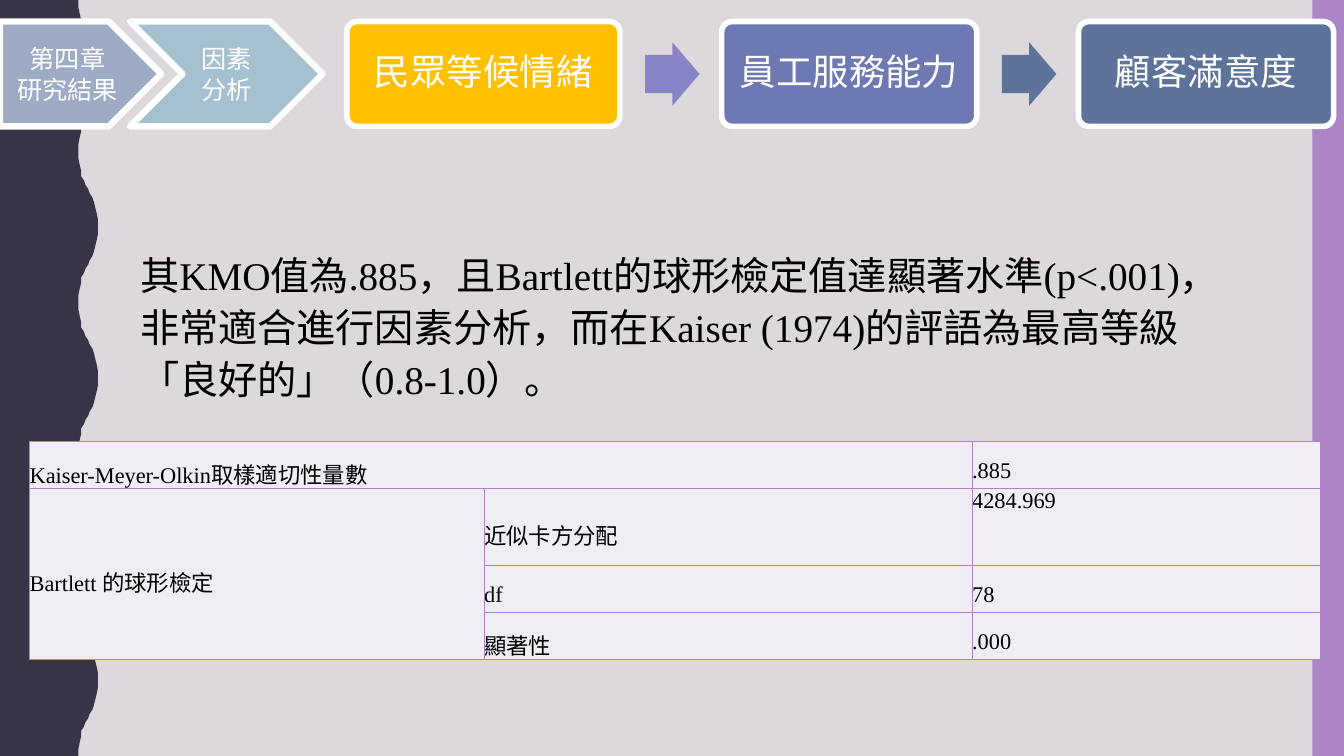
import pptx
import pptx.dml.color
import pptx.enum.shapes
import pptx.enum.text
import pptx.oxml
import pptx.oxml.ns
import pptx.util
import lxml.etree

Pt = pptx.util.Pt
RGBColor = pptx.dml.color.RGBColor
SHAPE = pptx.enum.shapes.MSO_SHAPE
ANCHOR = pptx.enum.text.MSO_ANCHOR
ALIGN = pptx.enum.text.PP_ALIGN
qn = pptx.oxml.ns.qn

BACKGROUND = RGBColor(0xDC, 0xD8, 0xDC)
DARK = RGBColor(0x37, 0x35, 0x45)
PURPLE = RGBColor(0xAD, 0x84, 0xC6)
PALE = RGBColor(0xF1, 0xED, 0xF5)
WHITE = RGBColor(0xFF, 0xFF, 0xFF)
BLACK = RGBColor(0x00, 0x00, 0x00)
GREY_BLUE = RGBColor(0x9D, 0xAB, 0xC4)
LIGHT_BLUE = RGBColor(0xA5, 0xC1, 0xCF)
GOLD = RGBColor(0xFF, 0xC0, 0x00)
VIOLET = RGBColor(0x87, 0x84, 0xC7)
INDIGO = RGBColor(0x6E, 0x79, 0xB3)
STEEL = RGBColor(0x5D, 0x73, 0x9A)

HALF_WAVE = [
    (56.2, 0), (56.2, 5), (56.9, 10), (57.6, 14.4), (58.3, 18),
    (59.8, 20.9), (61.2, 23.8), (62.6, 27.4), (64.1, 30.2), (65.5, 33.1),
    (67, 36), (68.4, 39.6), (69.1, 43.9), (69.8, 49), (69.8, 54),
]
WAVE_PERIOD = 108
WAVE_COUNT = 5


class SlideBuilder:
    sans = "Noto Sans CJK SC"
    serif = "Times New Roman"

    def __init__(self, deck):
        self.page = deck.slides.add_slide(deck.slide_layouts[1])
        title = self.page.shapes.title
        title.element.getparent().remove(title.element)
        fill = self.page.background.fill
        fill.solid()
        fill.fore_color.rgb = BACKGROUND

    def add_span(self, para, text, size, color, face):
        span = para.add_run()
        span.text = text
        span.font.size = Pt(size)
        span.font.color.rgb = color
        span.font.name = face
        properties = span._r.get_or_add_rPr()
        east_asian = lxml.etree.SubElement(properties, qn("a:ea"))
        east_asian.set("typeface", self.sans)

    def paint(self, shape, color, line_width=0):
        shape.shadow.inherit = False
        shape.fill.solid()
        shape.fill.fore_color.rgb = color
        if line_width:
            shape.line.color.rgb = WHITE
            shape.line.width = Pt(line_width)
        else:
            shape.line.fill.background()

    def shape(self, kind, place, color, line_width=0, adjustments=()):
        shape = self.page.shapes.add_shape(kind, *map(Pt, place))
        for index, value in enumerate(adjustments):
            shape.adjustments[index] = value
        self.paint(shape, color, line_width)
        return shape

    def label(self, shape, lines, size, spacing=1.0, after=0):
        frame = shape.text_frame
        frame.word_wrap = True
        frame.vertical_anchor = ANCHOR.MIDDLE
        for index, line in enumerate(lines):
            para = frame.add_paragraph() if index else frame.paragraphs[0]
            para.alignment = ALIGN.CENTER
            para.line_spacing = spacing
            para.space_after = Pt(after)
            self.add_span(para, line, size, WHITE, self.sans)

    def step(self, kind, place, color, lines):
        self.label(self.shape(kind, place, color, 4.5), lines, 18)

    def card(self, left, width, color, text):
        card = self.shape(SHAPE.ROUNDED_RECTANGLE, (left, 15.4, width, 74.9), color, 4, [0.1])
        card.text_frame.margin_left = card.text_frame.margin_right = Pt(4)
        self.label(card, [text], 26, 0.9, 9)

    def arrow(self, left, color):
        self.shape(SHAPE.RIGHT_ARROW, (left, 30.2, 38.9, 45.4), color, 0, [0.6, 0.5])

    def wave(self, color):
        period = HALF_WAVE + [(x, WAVE_PERIOD - y) for x, y in HALF_WAVE[-2::-1]]
        edge = [(x, y + WAVE_PERIOD * turn) for turn in range(WAVE_COUNT) for x, y in period]
        outline = self.page.shapes.build_freeform(0, 0, scale=float(Pt(1)))
        outline.add_line_segments(edge + [(0, WAVE_PERIOD * WAVE_COUNT)], close=True)
        self.paint(outline.convert_to_shape(), color)

    def body(self, place, text):
        box = self.page.placeholders[1]
        box.left, box.top, box.width, box.height = map(Pt, place)
        frame = box.text_frame
        frame.word_wrap = True
        frame.auto_size = pptx.enum.text.MSO_AUTO_SIZE.SHAPE_TO_FIT_TEXT
        para = frame.paragraphs[0]
        para.line_spacing = 1.1
        para.space_before = Pt(0)
        properties = para._p.get_or_add_pPr()
        properties.set("marL", "0")
        properties.set("indent", "0")
        lxml.etree.SubElement(properties, qn("a:buNone"))
        self.add_span(para, text, 28, BLACK, self.serif)

    def border(self, cell):
        properties = cell._tc.get_or_add_tcPr()
        for index, side in enumerate(("lnL", "lnR", "lnT", "lnB")):
            line = pptx.oxml.parse_xml(
                f'<a:{side} xmlns:a="http://schemas.openxmlformats.org/drawingml/2006/main" '
                f'w="{Pt(1)}"><a:solidFill><a:srgbClr val="{PURPLE}"/></a:solidFill></a:{side}>'
            )
            properties.insert(index, line)

    def table(self, place, widths, heights, rows, merges, top_cells):
        frame = self.page.shapes.add_table(len(rows), len(widths), *map(Pt, place))
        table = frame.table
        table.first_row = table.horz_banding = False
        for column, width in zip(table.columns, widths):
            column.width = Pt(width)
        for row, height in zip(table.rows, heights):
            row.height = Pt(height)
        for row_index, row in enumerate(rows):
            for column_index, text in enumerate(row):
                cell = table.cell(row_index, column_index)
                cell.fill.solid()
                cell.fill.fore_color.rgb = PALE
                cell.margin_left = cell.margin_right = 0
                cell.margin_top = cell.margin_bottom = 0
                at_top = (row_index, column_index) in top_cells
                cell.vertical_anchor = ANCHOR.TOP if at_top else ANCHOR.MIDDLE
                self.border(cell)
                if text:
                    para = cell.text_frame.paragraphs[0]
                    para.line_spacing = 1.0 if at_top else 1.5
                    self.add_span(para, text, 16, BLACK, self.serif)
        for first, last in merges:
            table.cell(*first).merge(table.cell(*last))


def main():
    deck = pptx.Presentation()
    deck.slide_width, deck.slide_height = Pt(960), Pt(540)
    builder = SlideBuilder(deck)

    builder.wave(DARK)
    builder.shape(SHAPE.RECTANGLE, (937.5, 0, 22.5, 540), PURPLE)

    builder.step(SHAPE.PENTAGON, (0, 15.4, 115.2, 74.9), GREY_BLUE, ["第四章", "研究結果"])
    builder.step(SHAPE.CHEVRON, (92.9, 15.4, 137.5, 74.9), LIGHT_BLUE, ["因素分析"])

    builder.card(247.7, 195.1, GOLD, "民眾等候情緒")
    builder.arrow(460.8, VIOLET)
    builder.card(515.5, 182.2, INDIGO, "員工服務能力")
    builder.arrow(715.7, STEEL)
    builder.card(770.4, 182.2, STEEL, "顧客滿意度")

    builder.body(
        (92.9, 172.8, 807.8, 119.5),
        "其KMO值為.885，且Bartlett的球形檢定值達顯著水準(p<.001)，非常適合進行因素分析，"
        "而在Kaiser (1974)的評語為最高等級「良好的」（0.8-1.0）。",
    )
    builder.table(
        (21.2, 315.4, 922.3, 156),
        (324.7, 348.5, 249.1),
        (33.5, 55, 33.5, 34),
        [
            ("Kaiser-Meyer-Olkin取樣適切性量數", "", ".885"),
            ("Bartlett 的球形檢定", "近似卡方分配", "4284.969"),
            ("", "df", "78"),
            ("", "顯著性", ".000"),
        ],
        [((0, 0), (0, 1)), ((1, 0), (3, 0))],
        {(1, 2)},
    )
    deck.save("out.pptx")


if __name__ == "__main__":
    main()
